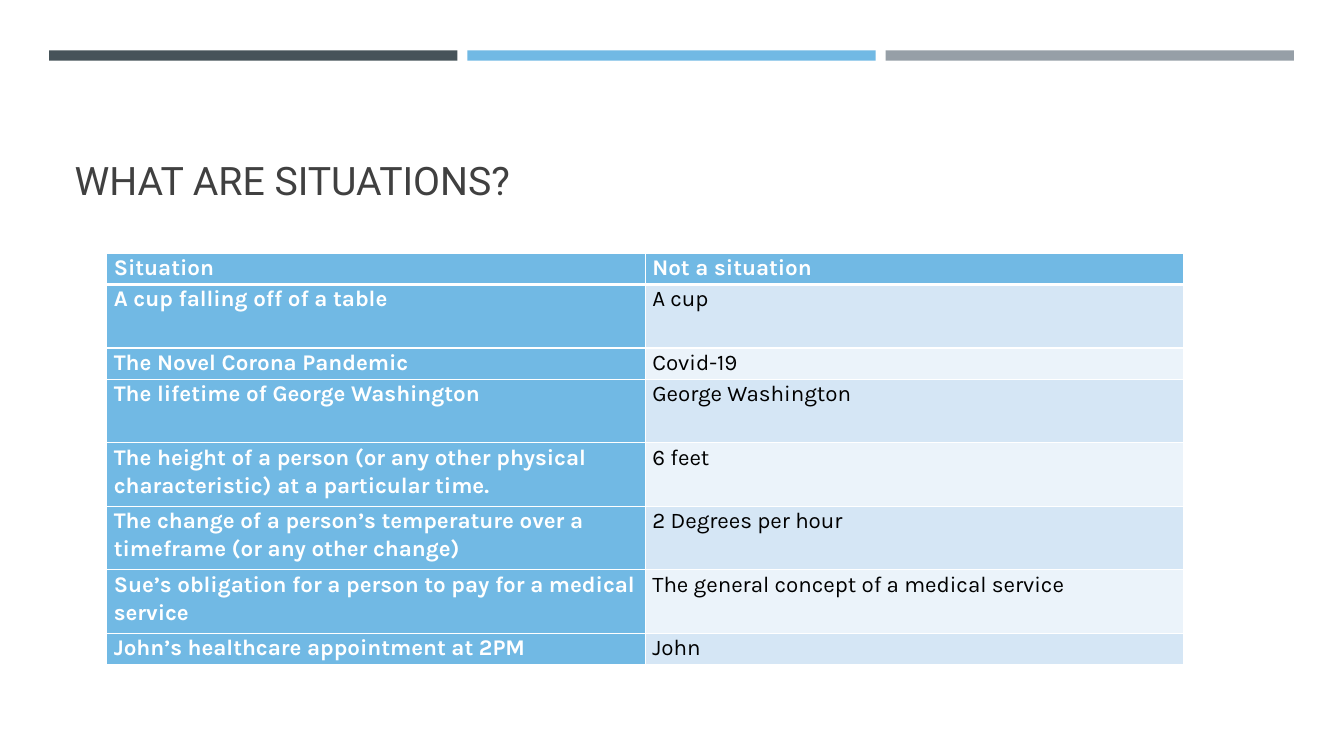
"""Build the slide that contrasts situations with things that are not situations."""
from dataclasses import dataclass

from lxml import etree
from pptx import Presentation
from pptx.dml import color
from pptx.enum import shapes, text
from pptx.oxml import ns
from pptx.slide import Slide
from pptx.table import _Cell
from pptx.text.text import _Paragraph
from pptx.util import Cm, Pt


@dataclass(frozen=True)
class Theme:
    """Colours, fonts and type sizes."""
    dark: str = "465359"
    blue: str = "71B9E4"
    grey: str = "969FA7"
    band_dark: str = "D5E6F5"
    band_light: str = "EBF3FA"
    white: str = "FFFFFF"
    black: str = "000000"
    heading: str = "404040"
    heading_font: str = "Roboto"
    body_font: str = "Karla"
    heading_size: float = 28
    body_size: float = 16


@dataclass(frozen=True)
class Contrast:
    """A situation beside something that is not one, with its row height in cm."""
    situation: str
    other: str
    height: float


THEME = Theme()
SHORT, TALL = 0.79, 1.6
CONTRASTS = [
    Contrast("Situation", "Not a situation", SHORT),
    Contrast("A cup falling off of a table", "A cup", TALL),
    Contrast("The Novel Corona Pandemic", "Covid-19", SHORT),
    Contrast("The lifetime of George Washington", "George Washington", TALL),
    Contrast("The height of a person (or any other physical characteristic) "
             "at a particular time.", "6 feet", TALL),
    Contrast("The change of a person’s temperature over a timeframe "
             "(or any other change)", "2 Degrees per hour", TALL),
    Contrast("Sue’s obligation for a person to pay for a medical service",
             "The general concept of a medical service", TALL),
    Contrast("John’s healthcare appointment at 2PM", "John", SHORT),
]


def rgb(value: str) -> color.RGBColor:
    """Turn a hex string into a colour."""
    return color.RGBColor.from_string(value)


def style(paragraph: _Paragraph, font: str, size: float, ink: str,
          bold: bool = False) -> None:
    """Format every run of a paragraph."""
    for run in paragraph.runs:
        run.font.name = font
        run.font.size = Pt(size)
        run.font.bold = bold
        run.font.color.rgb = rgb(ink)


def draw_bars(slide: Slide) -> None:
    """Draw the three bars across the top."""
    for index, fill in enumerate((THEME.dark, THEME.blue, THEME.grey)):
        bar = slide.shapes.add_shape(
            shapes.MSO_SHAPE.RECTANGLE,
            Cm(1.24 + index * 10.54), Cm(1.27), Cm(10.29), Cm(0.26))
        bar.shadow.inherit = False
        bar.fill.solid()
        bar.fill.fore_color.rgb = rgb(fill)
        bar.line.fill.background()


def draw_heading(slide: Slide) -> None:
    """Write the slide heading."""
    heading = slide.shapes.add_textbox(
        Cm(1.63), Cm(1.96), Cm(30.63), Cm(3.3)).text_frame
    heading.word_wrap = True
    heading.vertical_anchor = text.MSO_ANCHOR.BOTTOM
    heading.text = "WHAT ARE SITUATIONS?"
    style(heading.paragraphs[0], THEME.heading_font, THEME.heading_size,
          THEME.heading)


def add_border(cell: _Cell, side: str, width: float) -> None:
    """Give one side of a cell a white border."""
    edge = etree.SubElement(cell._tc.get_or_add_tcPr(), ns.qn(f"a:ln{side}"),
                            w=str(Pt(width)))
    fill = etree.SubElement(edge, ns.qn("a:solidFill"))
    etree.SubElement(fill, ns.qn("a:srgbClr"), val=THEME.white)


def fill_cell(cell: _Cell, wording: str, row: int, column: int) -> None:
    """Write and colour one cell by its place in the table."""
    emphasised = row == 0 or column == 0
    band = THEME.band_dark if row % 2 else THEME.band_light
    widths = {"L": 1, "R": 1, "T": 3 if row == 1 else 1,
              "B": 3 if row == 0 else 1}
    for side, width in widths.items():
        add_border(cell, side, width)
    cell.fill.solid()
    cell.fill.fore_color.rgb = rgb(THEME.blue if emphasised else band)
    cell.margin_left = cell.margin_right = Cm(0.18)
    cell.margin_top = cell.margin_bottom = Cm(0)
    cell.text_frame.text = wording
    paragraph = cell.text_frame.paragraphs[0]
    paragraph.line_spacing = 1.07
    style(paragraph, THEME.body_font, THEME.body_size,
          THEME.white if emphasised else THEME.black, emphasised)


def draw_contrasts(slide: Slide) -> None:
    """Draw the table of contrasts."""
    total = sum(contrast.height for contrast in CONTRASTS)
    table = slide.shapes.add_table(
        len(CONTRASTS), 2, Cm(2.69), Cm(6.38), Cm(27.14), Cm(total)).table
    for row, contrast in enumerate(CONTRASTS):
        table.rows[row].height = Cm(contrast.height)
        for column, wording in enumerate((contrast.situation, contrast.other)):
            fill_cell(table.cell(row, column), wording, row, column)


def main() -> None:
    """Build and save the presentation."""
    deck = Presentation()
    deck.slide_width, deck.slide_height = Cm(33.87), Cm(19.05)
    slide = deck.slides.add_slide(deck.slide_layouts[6])
    draw_bars(slide)
    draw_heading(slide)
    draw_contrasts(slide)
    deck.save("out.pptx")


if __name__ == "__main__":
    main()
